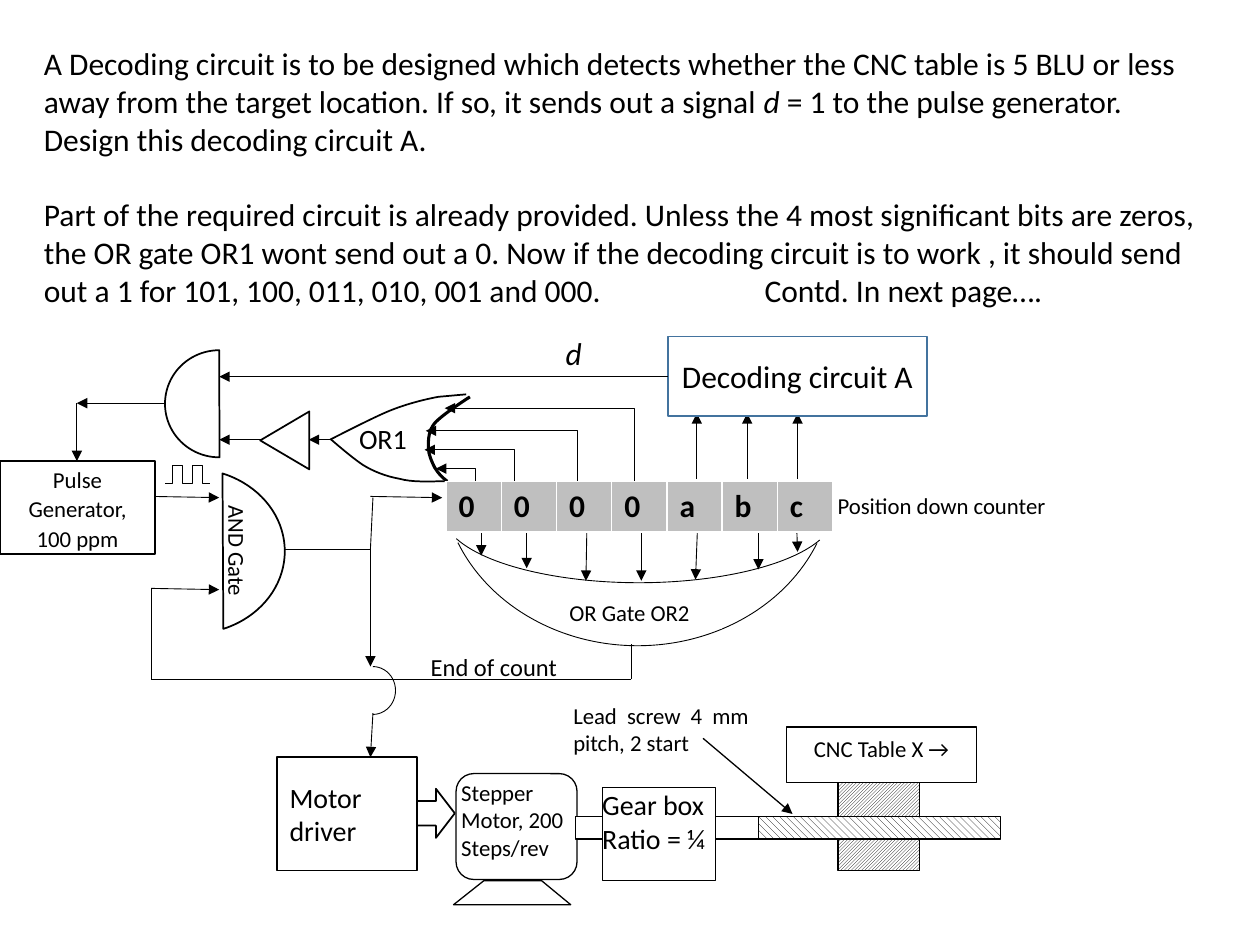
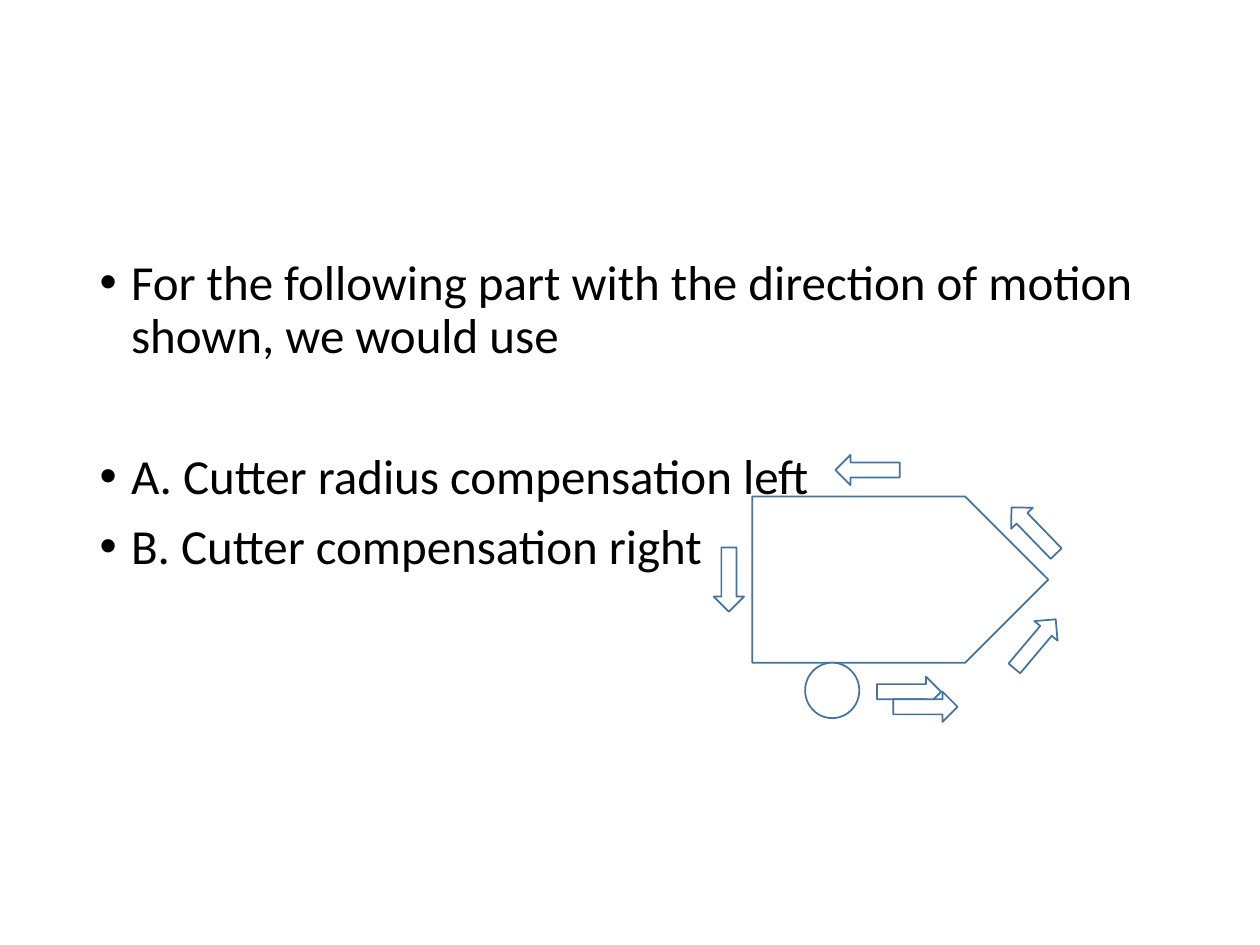
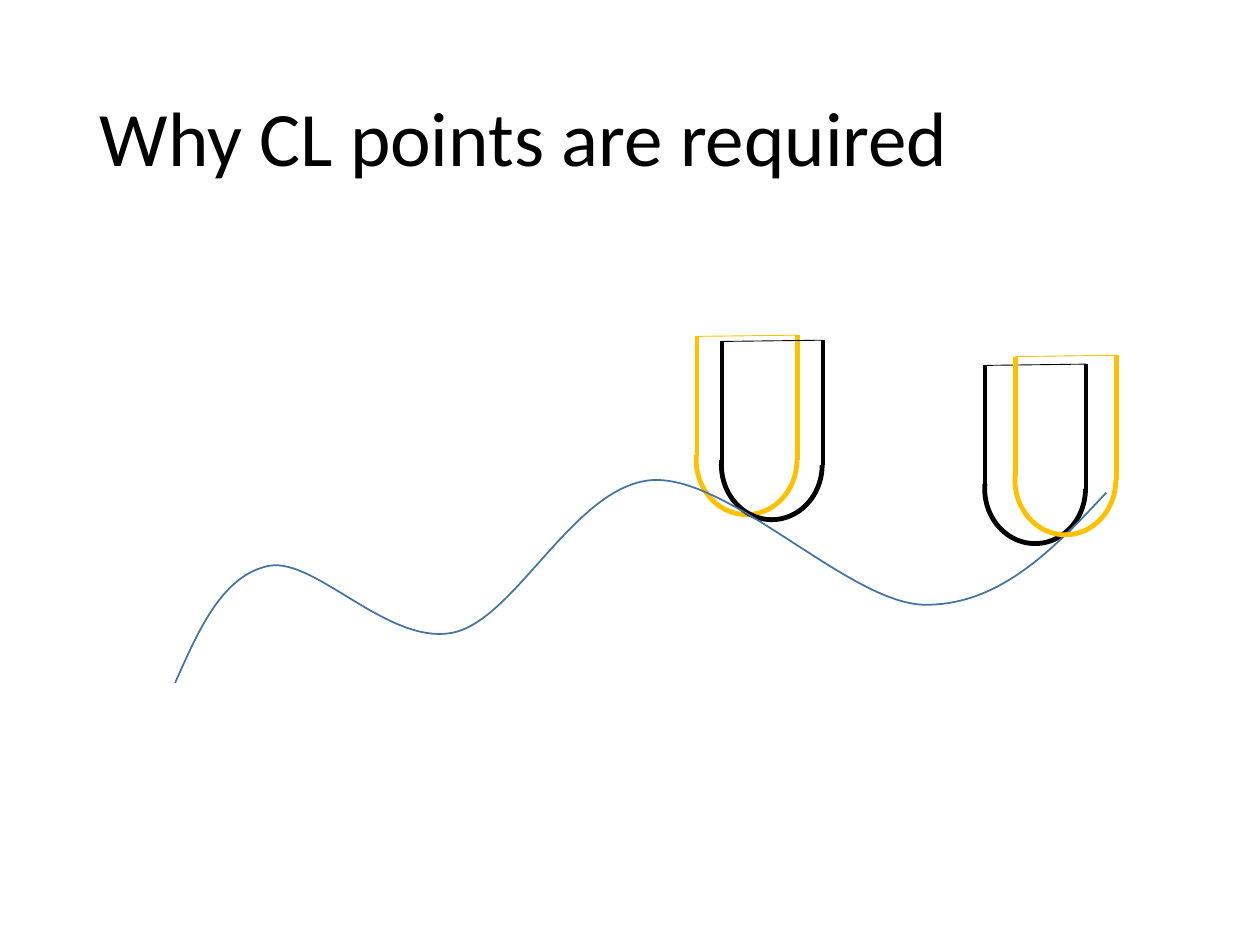
from dataclasses import dataclass

from lxml.etree import SubElement
from pptx import Presentation
from pptx.dml.color import RGBColor
from pptx.enum.dml import MSO_PATTERN
from pptx.enum.shapes import MSO_CONNECTOR, MSO_SHAPE
from pptx.enum.text import MSO_ANCHOR, PP_ALIGN
from pptx.oxml.ns import qn
from pptx.util import Inches, Pt


@dataclass(frozen=True)
class Theme:
    font: str = "Calibri"
    black: RGBColor = RGBColor(0, 0, 0)
    white: RGBColor = RGBColor(255, 255, 255)
    blue: RGBColor = RGBColor(0x43, 0x73, 0x9E)
    amber: RGBColor = RGBColor(0xFF, 0xC0, 0x00)
    grey: RGBColor = RGBColor(0xBF, 0xBF, 0xBF)
    title: int = 44
    bullet: int = 28
    prose: int = 18
    label: int = 16
    caption: int = 14
    small: int = 13


THEME = Theme()


# Text helpers
def style(paragraph, size, align=PP_ALIGN.LEFT, bold=None, spacing=None, after=None):
    paragraph.alignment = align
    if spacing:
        paragraph.line_spacing = spacing
    if after:
        paragraph.space_after = Pt(after)
    font = paragraph.font
    font.name, font.size, font.bold = THEME.font, Pt(size), bold
    font.color.rgb = THEME.black


def write(shape, text, size, align=PP_ALIGN.LEFT, anchor=MSO_ANCHOR.TOP,
          inset=True, loose=False, italic=False):
    frame = shape.text_frame
    frame.word_wrap = True
    frame.vertical_anchor = anchor
    if not inset:
        frame.margin_left = frame.margin_right = 0
        frame.margin_top = frame.margin_bottom = 0
    paragraph = frame.paragraphs[0]
    paragraph.text = text
    spacing, after = (1.07, 8) if loose else (None, None)
    style(paragraph, size, align, spacing=spacing, after=after)
    if italic:
        paragraph.font.italic = True


def text_box(slide, box):
    shape = slide.shapes.add_textbox(*map(Inches, box))
    shape.text_frame.word_wrap = True
    return shape


# Drawing helpers
def paint(shape, fill, line, width):
    shape.shadow.inherit = False
    if fill is None:
        shape.fill.background()
    else:
        shape.fill.solid()
        shape.fill.fore_color.rgb = fill
    if line is None:
        shape.line.fill.background()
    else:
        shape.line.color.rgb = line
        shape.line.width = Pt(width)
    return shape


def block(slide, kind, box, fill=THEME.white, line=THEME.black, width=0.75,
          turn=0, adjust=()):
    shape = slide.shapes.add_shape(kind, *map(Inches, box))
    shape.rotation = turn
    for index, value in enumerate(adjust):
        shape.adjustments[index] = value
    return paint(shape, fill, line, width)


def hatched(slide, box, pattern):
    shape = block(slide, MSO_SHAPE.RECTANGLE, box)
    shape.fill.patterned()
    shape.fill.pattern = pattern
    shape.fill.fore_color.rgb = THEME.black
    shape.fill.back_color.rgb = THEME.white


def arc(slide, box, turn, adjust, color=THEME.black, width=0.5):
    block(slide, MSO_SHAPE.ARC, box, None, color, width, turn, adjust)


def wire(slide, start, end, arrow=False, width=0.5, color=THEME.black, bend=None):
    """Straight line, or an elbow when bend gives its turning point (0 to 1)."""
    kind = MSO_CONNECTOR.STRAIGHT if bend is None else MSO_CONNECTOR.ELBOW
    connector = slide.shapes.add_connector(kind, *map(Inches, (*start, *end)))
    connector.line.color.rgb = color
    connector.line.width = Pt(width)
    properties = connector._element.spPr
    if arrow:
        SubElement(properties.find(qn("a:ln")), qn("a:tailEnd"), type="triangle")
    SubElement(properties, qn("a:effectLst"))
    if bend is not None:
        guides = properties.find(qn("a:prstGeom")).get_or_add_avLst()
        SubElement(guides, qn("a:gd"), name="adj1", fmla=f"val {round(bend * 100000)}")


def outline(slide, points, closed=False, fill=None, line=THEME.black, width=1):
    start, *rest = [tuple(map(Inches, point)) for point in points]
    builder = slide.shapes.build_freeform(*start)
    builder.add_line_segments(rest, close=closed)
    return paint(builder.convert_to_shape(), fill, line, width)


def curve(slide, start, *segments, line=THEME.black, width=1):
    """Open curve; each segment is two control points and an end, or an end alone."""
    shape = outline(slide, [start] + [segment[-1] for segment in segments],
                    line=line, width=width)
    sides = list(shape._element.iter(qn("a:lnTo")))
    for side, (*controls, _) in zip(sides, segments):
        if not controls:
            continue
        bezier = side.makeelement(qn("a:cubicBezTo"))
        for x, y in controls:
            SubElement(bezier, qn("a:pt"), x=str(Inches(x) - shape.left),
                       y=str(Inches(y) - shape.top))
        bezier.append(side[0])
        side.getparent().replace(side, bezier)


# Slide 1: decoding circuit
def problem_statement(slide):
    frame = text_box(slide, (0.25, 0.3, 9.4, 2.22)).text_frame
    task = frame.paragraphs[0]
    task.add_run().text = (
        "A Decoding circuit is to be designed which detects whether the CNC table is "
        "5 BLU or less away from the target location. If so, it sends out a signal ")
    signal = task.add_run()
    signal.text = "d"
    signal.font.italic = True
    task.add_run().text = " = 1 to the pulse generator. Design this decoding circuit A."
    style(task, THEME.prose)

    hint = frame.add_paragraph()
    hint.text = (
        "Part of the required circuit is already provided. Unless the 4 most significant "
        "bits are zeros, the OR gate OR1 wont send out a 0. Now if the decoding circuit "
        "is to work , it should send out a 1 for 101, 100, 011, 010, 001 and 000."
        "\tContd. In next page….")
    tabs = SubElement(hint._p.get_or_add_pPr(), qn("a:tabLst"))
    SubElement(tabs, qn("a:tab"), pos=str(Inches(5.72)), algn="l")
    hint.space_before = Pt(21.6)
    style(hint, THEME.prose)


def drive_train(slide):
    block(slide, MSO_SHAPE.RIGHT_ARROW, (3.31, 6.26, 0.3, 0.39), width=1)
    stepper = block(slide, MSO_SHAPE.FLOWCHART_ALTERNATE_PROCESS, (3.62, 6.14, 0.96, 0.84))
    write(stepper, "Stepper Motor, 200 Steps/rev", THEME.small, inset=False)
    outline(slide, [(3.6, 7.18), (3.84, 6.99), (4.3, 6.99), (4.53, 7.18)],
            closed=True, fill=THEME.white, width=0.75)
    block(slide, MSO_SHAPE.RECTANGLE, (4.57, 6.48, 3.09, 0.18))
    gear_box = block(slide, MSO_SHAPE.FLOWCHART_PROCESS, (4.78, 6.25, 0.9, 0.74))
    write(gear_box, "Gear box Ratio = ¼", THEME.label, inset=False)

    # Lead screw and table
    hatched(slide, (6.65, 6.2, 0.65, 0.71), MSO_PATTERN.LIGHT_UPWARD_DIAGONAL)
    hatched(slide, (6.02, 6.48, 1.92, 0.18), MSO_PATTERN.WIDE_DOWNWARD_DIAGONAL)
    cnc_table = block(slide, MSO_SHAPE.FLOWCHART_PROCESS, (6.24, 5.77, 1.51, 0.44))
    write(cnc_table, "CNC Table X →", THEME.small, PP_ALIGN.CENTER, loose=True)
    lead_screw = block(slide, MSO_SHAPE.RECTANGLE, (4.55, 5.57, 1.39, 0.51), line=None)
    write(lead_screw, "Lead screw 4 mm pitch, 2 start", THEME.small,
          PP_ALIGN.JUSTIFY, inset=False)
    wire(slide, (5.58, 5.86), (6.29, 6.46), arrow=True, width=0.75)

    motor_driver = block(slide, MSO_SHAPE.RECTANGLE, (2.2, 6.01, 1.11, 0.9), None, width=1)
    write(motor_driver, "Motor driver", THEME.label, anchor=MSO_ANCHOR.MIDDLE)


def pulse_path(slide):
    # AND gate and its inputs
    and_gate = block(slide, MSO_SHAPE.CHORD, (0.78, 3.72, 1.48, 1.31), width=1,
                     turn=180, adjust=(67.01, 148.62))
    write(and_gate, "AND Gate", THEME.small)
    and_gate.text_frame.margin_top = 0
    and_gate.text_frame._txBody.bodyPr.set("vert", "vert270")
    for y in (3.94, 4.67):
        wire(slide, (1.2, y), (1.74, y + 0.01), arrow=True)

    # End-of-count feedback
    feedback = [(1.2, 4.67), (1.2, 5.39), (5.01, 5.39), (5.01, 5.11)]
    for start, end in zip(feedback, feedback[1:]):
        wire(slide, start, end)

    # Output to the counter and, hopping over the feedback, to the motor driver
    wire(slide, (2.26, 4.36), (2.94, 4.36))
    wire(slide, (2.94, 4.36), (2.96, 3.95))
    wire(slide, (2.94, 3.94), (3.51, 3.95), arrow=True)
    wire(slide, (2.94, 4.36), (2.94, 5.29), arrow=True)
    arc(slide, (2.78, 5.29, 0.36, 0.38), 0, (162, 54))
    wire(slide, (2.96, 5.66), (2.94, 6.01), arrow=True)

    generator = block(slide, MSO_SHAPE.RECTANGLE, (0, 3.66, 1.23, 0.74), width=1)
    write(generator, "Pulse Generator, 100 ppm", THEME.small, PP_ALIGN.CENTER,
          MSO_ANCHOR.MIDDLE, loose=True)

    # Pulse train
    for left in (1.31, 1.47):
        wire(slide, (left + 0.12, 3.69), (left, 3.84), bend=0.5)
        wire(slide, (left + 0.08, 3.69), (left + 0.2, 3.84), bend=0.5)


def or2_gate(slide):
    arc(slide, (3.7, 2.21, 2.72, 3.11), 90, (174.64, 41.52))
    arc(slide, (4.52, 2.52, 1.1, 3.11), 90, (167.02, 49.28))
    bit_inputs = [(3.82, 3.82, 4.41), (4.18, 4.18, 4.51), (4.66, 4.65, 4.61),
                  (5.09, 5.09, 4.61), (5.54, 5.52, 4.6), (6.02, 6.02, 4.52),
                  (6.32, 6.33, 4.38)]
    for top_x, tip_x, tip_y in bit_inputs:
        wire(slide, (top_x, 4.08), (tip_x, tip_y), arrow=True)
    name = block(slide, MSO_SHAPE.RECTANGLE, (4.42, 4.69, 1.31, 0.3), line=None)
    write(name, "OR Gate OR2", THEME.small, loose=True)


def decoder(slide):
    for bit in range(3):
        x = 5.53 + 0.4 * bit
        wire(slide, (x, 3.8), (x, 3.28), arrow=True)
    circuit = block(slide, MSO_SHAPE.RECTANGLE, (5.3, 2.67, 2.06, 0.63),
                    line=THEME.blue, width=1)
    write(circuit, "Decoding circuit A", THEME.prose, PP_ALIGN.CENTER, MSO_ANCHOR.MIDDLE)
    wire(slide, (5.3, 2.99), (1.74, 2.99), arrow=True)
    write(text_box(slide, (4.39, 2.6, 0.48, 0.41)), "d", THEME.prose, italic=True)


def or1_gate(slide):
    # Four most significant bits
    for start, end, bend in [((5.05, 3.83), (3.53, 3.24), 0.01),
                             ((4.58, 3.82), (3.38, 3.42), 0),
                             ((4.8, 3.82), (3.37, 3.57), 0.5),
                             ((3.62, 3.82), (3.46, 3.72), -0.96)]:
        wire(slide, start, end, arrow=True, bend=bend)

    # Gate outline: input side, lower edge, upper edge
    curve(slide, (3.55, 3.82),
          ((3.51, 3.79), (3.48, 3.76), (3.45, 3.71)),
          ((3.43, 3.67), (3.4, 3.61), (3.4, 3.55)),
          ((3.4, 3.49), (3.4, 3.42), (3.45, 3.36)),
          ((3.51, 3.29), (3.73, 3.15), (3.73, 3.15)), width=1.75)
    curve(slide, (3.53, 3.82),
          ((3.4, 3.82), (3.28, 3.83), (3.17, 3.8)),
          ((3.06, 3.78), (2.96, 3.74), (2.88, 3.69)),
          ((2.79, 3.63), (2.63, 3.49), (2.63, 3.49)))
    curve(slide, (3.7, 3.13),
          ((3.48, 3.15),),
          ((3.37, 3.17), (3.21, 3.21), (3.07, 3.27)),
          ((2.93, 3.33), (2.62, 3.49), (2.62, 3.49)))
    name = text_box(slide, (2.65, 3.3, 0.74, 0.37))
    name.text_frame.margin_left = Inches(0.2)
    write(name, "OR1", THEME.label)

    # Inverter, final gate and pulse generator input
    wire(slide, (2.62, 3.49), (2.45, 3.49), arrow=True)
    block(slide, MSO_SHAPE.ISOSCELES_TRIANGLE, (2.03, 3.3, 0.46, 0.39), width=1, turn=270)
    wire(slide, (2.07, 3.49), (1.74, 3.49), arrow=True)
    block(slide, MSO_SHAPE.CHORD, (1.31, 2.78, 0.86, 0.85), width=1, adjust=(53.74, 162))
    wire(slide, (1.31, 3.2), (0.61, 3.2), arrow=True)
    wire(slide, (0.61, 3.2), (0.61, 3.66), arrow=True)


def down_counter(slide):
    bits = "0000abc"
    counter = slide.shapes.add_table(
        1, len(bits), *map(Inches, (3.54, 3.82, 3.07, 0.37))).table
    for column, bit in enumerate(bits):
        counter.columns[column].width = Inches(3.07 / len(bits))
        cell = counter.cell(0, column)
        cell.fill.solid()
        cell.fill.fore_color.rgb = THEME.grey
        cell.text = bit
        style(cell.text_frame.paragraphs[0], THEME.prose, bold=True)


def circuit_slide(deck):
    slide = deck.slides.add_slide(deck.slide_layouts[6])
    end_of_count = block(slide, MSO_SHAPE.RECTANGLE, (3.32, 5.11, 1.33, 0.41), line=None)
    write(end_of_count, "End of count", THEME.caption, loose=True)
    write(text_box(slide, (6.55, 3.84, 2.1, 0.42)), "Position down counter",
          THEME.small, loose=True)
    drive_train(slide)
    pulse_path(slide)
    or2_gate(slide)
    decoder(slide)
    problem_statement(slide)
    or1_gate(slide)
    down_counter(slide)


# Slide 2: cutter compensation question
def place(placeholder, box):
    (placeholder.left, placeholder.top,
     placeholder.width, placeholder.height) = map(Inches, box)


def bullet(paragraph, text, before):
    paragraph.text = text
    properties = paragraph._p.get_or_add_pPr()
    properties.set("marL", str(Inches(0.25)))
    properties.set("indent", str(-Inches(0.25)))
    SubElement(properties, qn("a:buFont"), typeface="Arial")
    SubElement(properties, qn("a:buChar"), char="•")
    paragraph.space_before = Pt(before)
    style(paragraph, THEME.bullet, spacing=0.9)


def compensation_slide(deck):
    slide = deck.slides.add_slide(deck.slide_layouts[1])
    heading = slide.shapes.title._element
    heading.getparent().remove(heading)

    question = slide.placeholders[1]
    place(question, (0.69, 2, 8.62, 4.76))
    frame = question.text_frame
    bullet(frame.paragraphs[0],
           "For the following part with the direction of motion shown, we would use", 0)
    bullet(frame.add_paragraph(), "A. Cutter radius compensation left", 50.3)
    bullet(frame.add_paragraph(), "B. Cutter compensation right", 9.8)

    # Part, cutter and direction of motion
    block(slide, MSO_SHAPE.PENTAGON, (5.97, 3.94, 2.35, 1.32), line=THEME.blue, width=1)
    block(slide, MSO_SHAPE.OVAL, (6.39, 5.26, 0.43, 0.44), line=THEME.blue, width=1)
    for left, top, turn in [(6.96, 5.37, 0), (7.96, 4.99, 310.1), (7.95, 4.09, 225.9),
                            (6.63, 3.61, 180), (5.53, 4.48, 90), (7.09, 5.49, 0)]:
        block(slide, MSO_SHAPE.RIGHT_ARROW, (left, top, 0.51, 0.24),
              line=THEME.blue, width=1, turn=turn)


# Slide 3: cutter location points
def ball_cutter(slide, x, y, color):
    arc(slide, (x - 0.04, y + 0.58, 0.87, 0.8), 90, (162, 57.21), color, 2.75)
    right = x + 0.8
    wire(slide, (x, y + 0.95), (x, y), width=2.5, color=color)
    wire(slide, (right, y + 0.98), (right, y - 0.01), width=2.5, color=color)
    wire(slide, (x, y), (right, y - 0.01), color=color)


def cl_points_slide(deck):
    slide = deck.slides.add_slide(deck.slide_layouts[5])
    heading = slide.shapes.title
    place(heading, (0.69, 0.4, 8.62, 1.45))
    write(heading, "Why CL points are required", THEME.title, anchor=MSO_ANCHOR.MIDDLE)
    heading.text_frame.paragraphs[0].line_spacing = 0.9

    ball_cutter(slide, 7.82, 2.9, THEME.black)
    ball_cutter(slide, 5.53, 2.67, THEME.amber)
    ball_cutter(slide, 5.73, 2.71, THEME.black)
    # Machined surface
    curve(slide, (1.39, 5.42),
          ((1.58, 4.99), (1.77, 4.56), (2.14, 4.49)),
          ((2.51, 4.43), (3.09, 5.13), (3.6, 5.02)),
          ((4.1, 4.91), (4.56, 3.85), (5.18, 3.81)),
          ((5.8, 3.78), (6.73, 4.78), (7.33, 4.8)),
          ((7.93, 4.81), (8.36, 4.36), (8.78, 3.91)), line=THEME.blue)
    ball_cutter(slide, 8.06, 2.83, THEME.amber)


def main():
    deck = Presentation()
    deck.slide_width, deck.slide_height = Inches(10), Inches(7.5)
    circuit_slide(deck)
    compensation_slide(deck)
    cl_points_slide(deck)
    deck.save("out.pptx")


if __name__ == "__main__":
    main()
